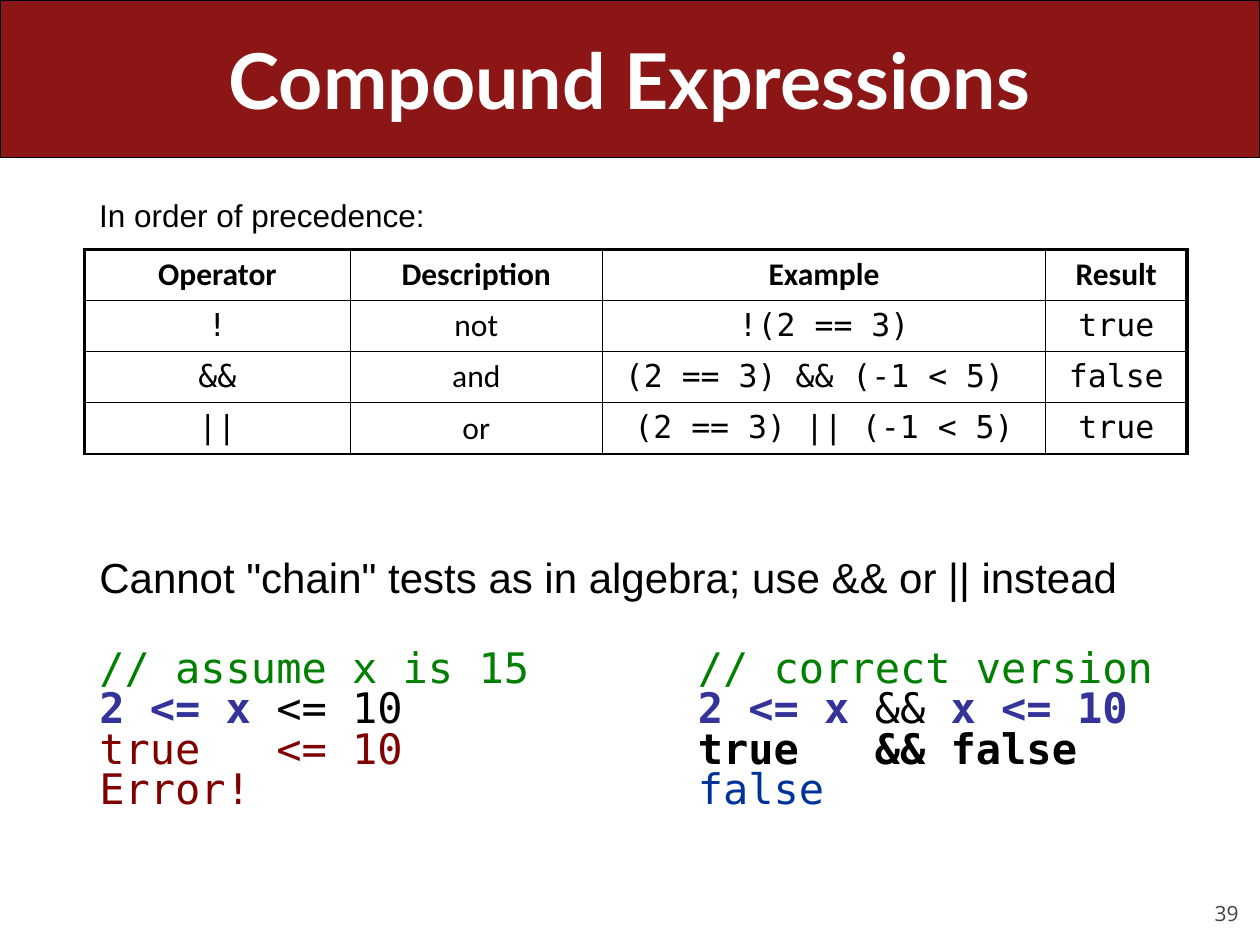
import lxml.etree
import pptx
import pptx.dml.color
import pptx.enum.shapes
import pptx.enum.text
import pptx.oxml.ns
import pptx.util

Inches = pptx.util.Inches
Pt = pptx.util.Pt
ALIGN = pptx.enum.text.PP_ALIGN
ANCHOR = pptx.enum.text.MSO_ANCHOR
MONO = "DejaVu Sans Mono"

OPERATORS = [
    ("Operator", "Description", "Example", "Result"),
    ("!", "not", "!(2 == 3)", "true"),
    ("&&", "and", "(2 == 3) && (-1 < 5) ", "false"),
    ("||", "or", "(2 == 3) || (-1 < 5)", "true"),
]
COLUMN_WIDTHS = (2.11, 2, 3.52, 1.12)

CODE_LINES = [
    [("// assume x is 15\t// correct version", "008000", False)],
    [("2 <= x", "333399", True), (" <= 10\t", "000000", False),
     ("2 <= x", "333399", True), (" && ", "000000", False),
     ("x <= 10", "333399", True)],
    [("true   <= 10\t", "800000", False), ("true   && false", "000000", True)],
    [("Error!\t", "800000", False), ("false", "003399", False)],
]


def color(hex_string):
    """Turn a hex string into a colour."""
    return pptx.dml.color.RGBColor.from_string(hex_string)


def apply(target, formats):
    """Set each named attribute of the target."""
    for name, value in formats.items():
        setattr(target, name, value)


def add_run(paragraph, text, size, font, hex_string="000000", bold=False):
    """Append one formatted run to a paragraph."""
    run = paragraph.add_run()
    run.text = text
    apply(run.font, {"size": Pt(size), "name": font, "bold": bold})
    run.font.color.rgb = color(hex_string)


def add_child(parent, tag, **attributes):
    """Append a DrawingML element to its parent."""
    child = lxml.etree.SubElement(parent, pptx.oxml.ns.qn(tag))
    for name, value in attributes.items():
        child.set(name, str(value))
    return child


def add_banner(slide, left, top, width, height):
    """Place the red band with the title centred on it."""
    band = slide.shapes.add_shape(
        pptx.enum.shapes.MSO_SHAPE.ROUNDED_RECTANGLE,
        Inches(left), Inches(top), Inches(width), Inches(height))
    band.adjustments[0] = 0
    band.shadow.inherit = False
    band.fill.solid()
    band.fill.fore_color.rgb = color("8C1515")
    band.line.color.rgb = color("000000")
    band.line.width = Pt(0.75)

    title = slide.shapes.title
    apply(title, {"left": Inches(left + 0.5), "top": Inches(top),
                  "width": Inches(width - 1), "height": Inches(height)})
    title.text_frame.vertical_anchor = ANCHOR.MIDDLE
    heading = title.text_frame.paragraphs[0]
    heading.alignment = ALIGN.CENTER
    add_run(heading, "Compound Expressions", 44, "Lato", "FFFFFF", True)
    band.element.addnext(title.element)


def add_text_frame(slide, left, top, width, height, **formats):
    """Add a text box and return its formatted frame."""
    box = slide.shapes.add_textbox(
        Inches(left), Inches(top), Inches(width), Inches(height))
    apply(box.text_frame, {"word_wrap": True, **formats})
    return box.text_frame


def add_caption(slide, left, top, width, height):
    """Place the line that introduces the operator table."""
    frame = add_text_frame(slide, left, top, width, height, word_wrap=False)
    frame.paragraphs[0].alignment = ALIGN.RIGHT
    add_run(frame.paragraphs[0], "In order of precedence:", 18, "Arial")


def add_cell_borders(cell, widths):
    """Draw black borders of the given point widths, keyed by side."""
    properties = cell._tc.get_or_add_tcPr()
    for position, side in enumerate("LRTB"):
        border = add_child(properties, f"a:ln{side}", w=Pt(widths[side]))
        fill = add_child(border, "a:solidFill")
        add_child(fill, "a:srgbClr", val="000000")
        properties.insert(position, border)


def add_operator_table(slide, left, top, width, height):
    """Place the table of logical operators with a thick outer frame."""
    row_count, column_count = len(OPERATORS), len(COLUMN_WIDTHS)
    table = slide.shapes.add_table(
        row_count, column_count,
        Inches(left), Inches(top), Inches(width), Inches(height)).table
    apply(table, {"first_row": False, "horz_banding": False})
    for column, column_width in zip(table.columns, COLUMN_WIDTHS):
        column.width = Inches(column_width)
    for r, entries in enumerate(OPERATORS):
        for c, entry in enumerate(entries):
            cell = table.cell(r, c)
            cell.fill.background()
            header = r == 0
            font = "Calibri" if header or c == 1 else MONO
            paragraph = cell.text_frame.paragraphs[0]
            paragraph.alignment = ALIGN.CENTER
            add_run(paragraph, entry, 18, font, bold=header)
            add_cell_borders(cell, {
                "L": 2.25 if c == 0 else 1,
                "R": 2.25 if c == column_count - 1 else 1,
                "T": 2.25 if header else 1,
                "B": 1,
            })


def add_chain_example(slide, left, top, width, height):
    """Place the chaining rule above two code columns set by a tab."""
    frame = add_text_frame(slide, left, top, width, height)
    add_run(frame.paragraphs[0],
            'Cannot "chain" tests as in algebra; use && or || instead',
            24, "Arial")
    for index, code_line in enumerate(CODE_LINES):
        paragraph = frame.add_paragraph()
        apply(paragraph, {"line_spacing": 0.8,
                          "space_before": Pt(0 if index else 28)})
        tabs = add_child(paragraph._p.get_or_add_pPr(), "a:tabLst")
        add_child(tabs, "a:tab", pos=Inches(4.75), algn="l")
        for text, hex_string, bold in code_line:
            add_run(paragraph, text, 24, MONO, hex_string, bold)


def add_page_number(slide, left, top, width, height):
    """Place the page number in the bottom right corner."""
    frame = add_text_frame(
        slide, left, top, width, height, vertical_anchor=ANCHOR.BOTTOM,
        margin_left=0, margin_top=0, margin_right=0, margin_bottom=0)
    frame.paragraphs[0].alignment = ALIGN.RIGHT
    add_run(frame.paragraphs[0], "39", 12, "Open Sans", "424242")


def main():
    """Build the slide and save it."""
    deck = pptx.Presentation()
    apply(deck, {"slide_width": Inches(10), "slide_height": Inches(7.5)})
    slide = deck.slides.add_slide(deck.slide_layouts[5])
    add_page_number(slide, 9, 6.95, 0.83, 0.4)
    add_banner(slide, 0, 0, 10, 1.25)
    add_operator_table(slide, 0.67, 1.98, 8.75, 1.6)
    add_chain_example(slide, 0.69, 4.33, 8.63, 2.5)
    add_caption(slide, 0.66, 1.51, 2.81, 0.4)
    deck.save("out.pptx")


if __name__ == "__main__":
    main()
